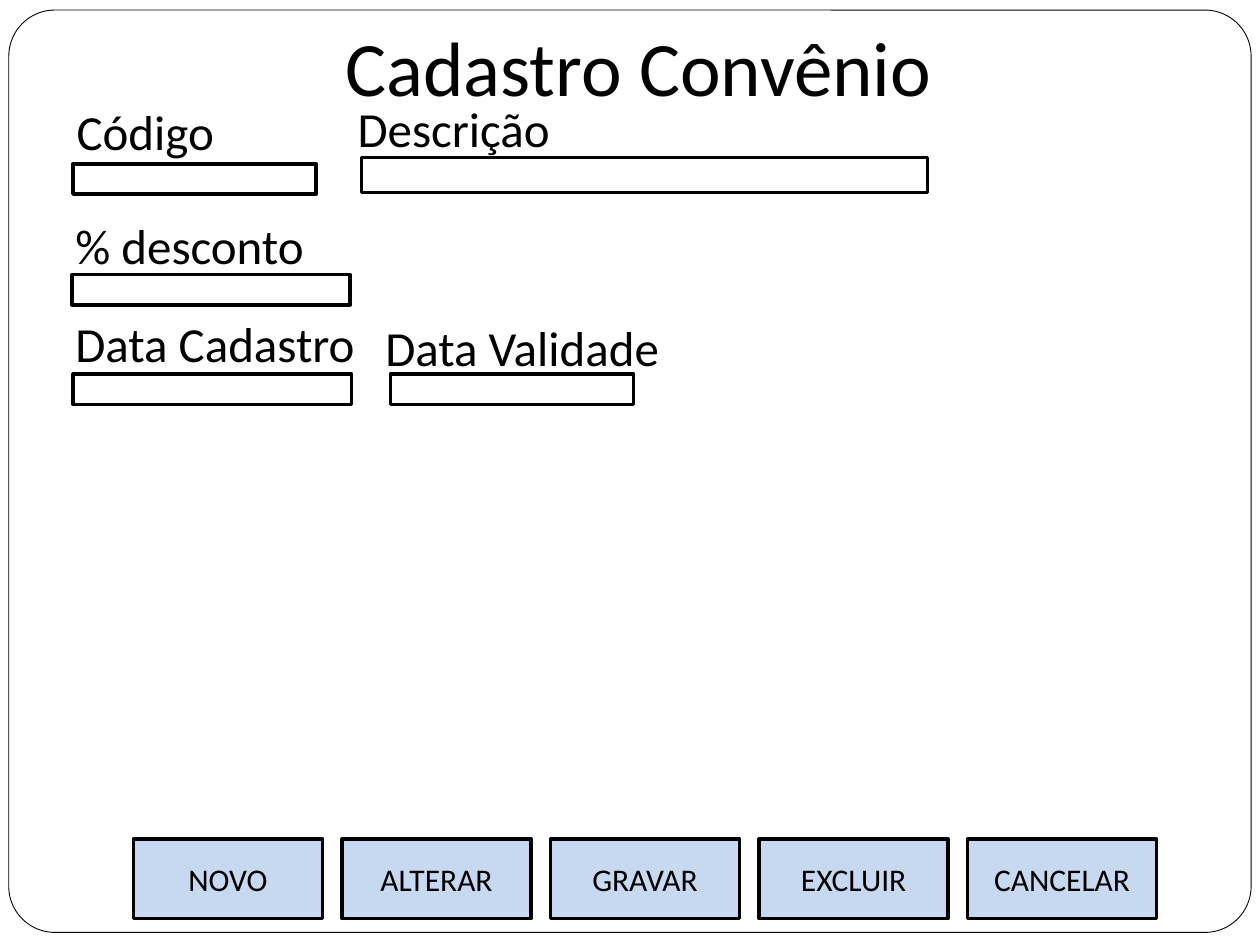
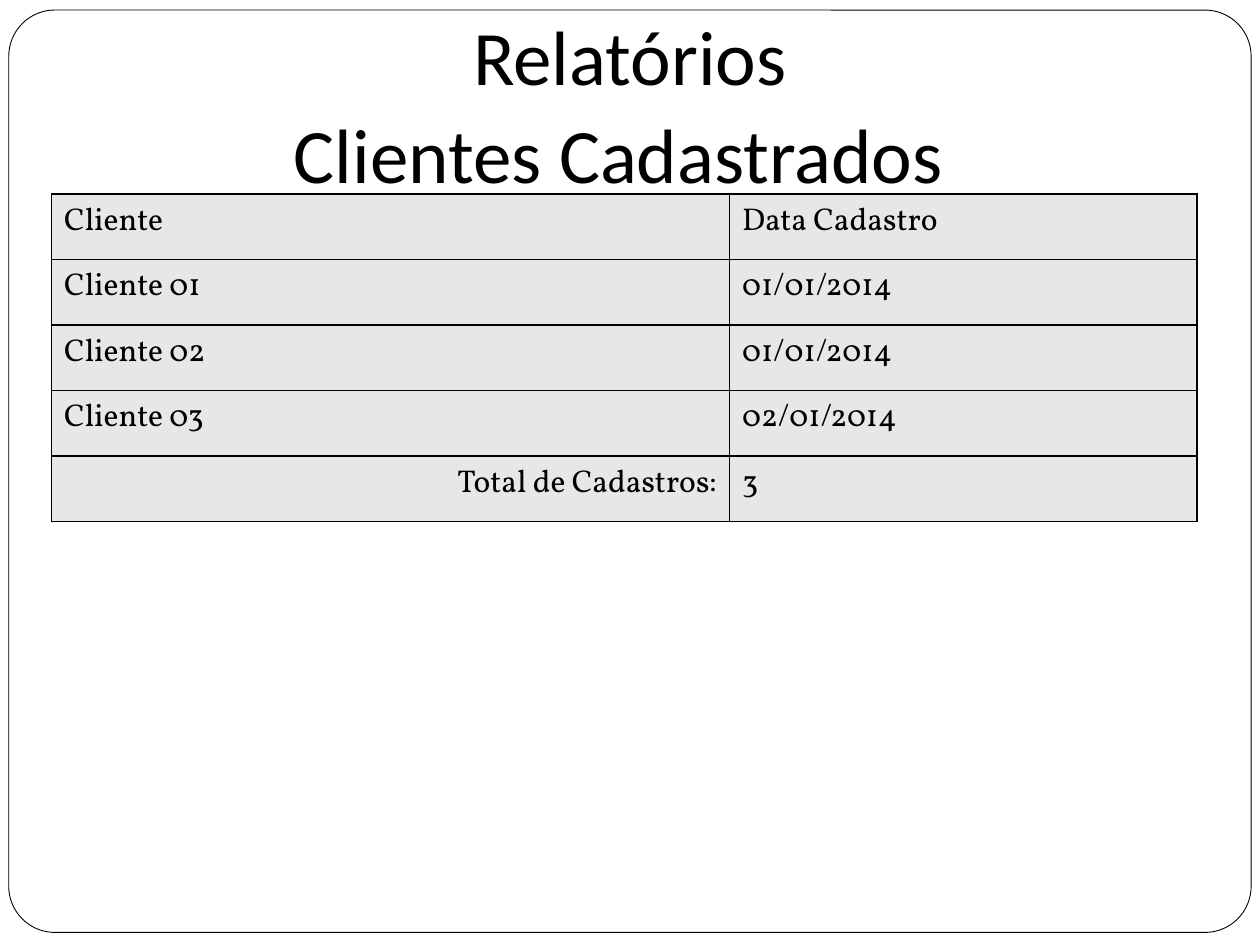
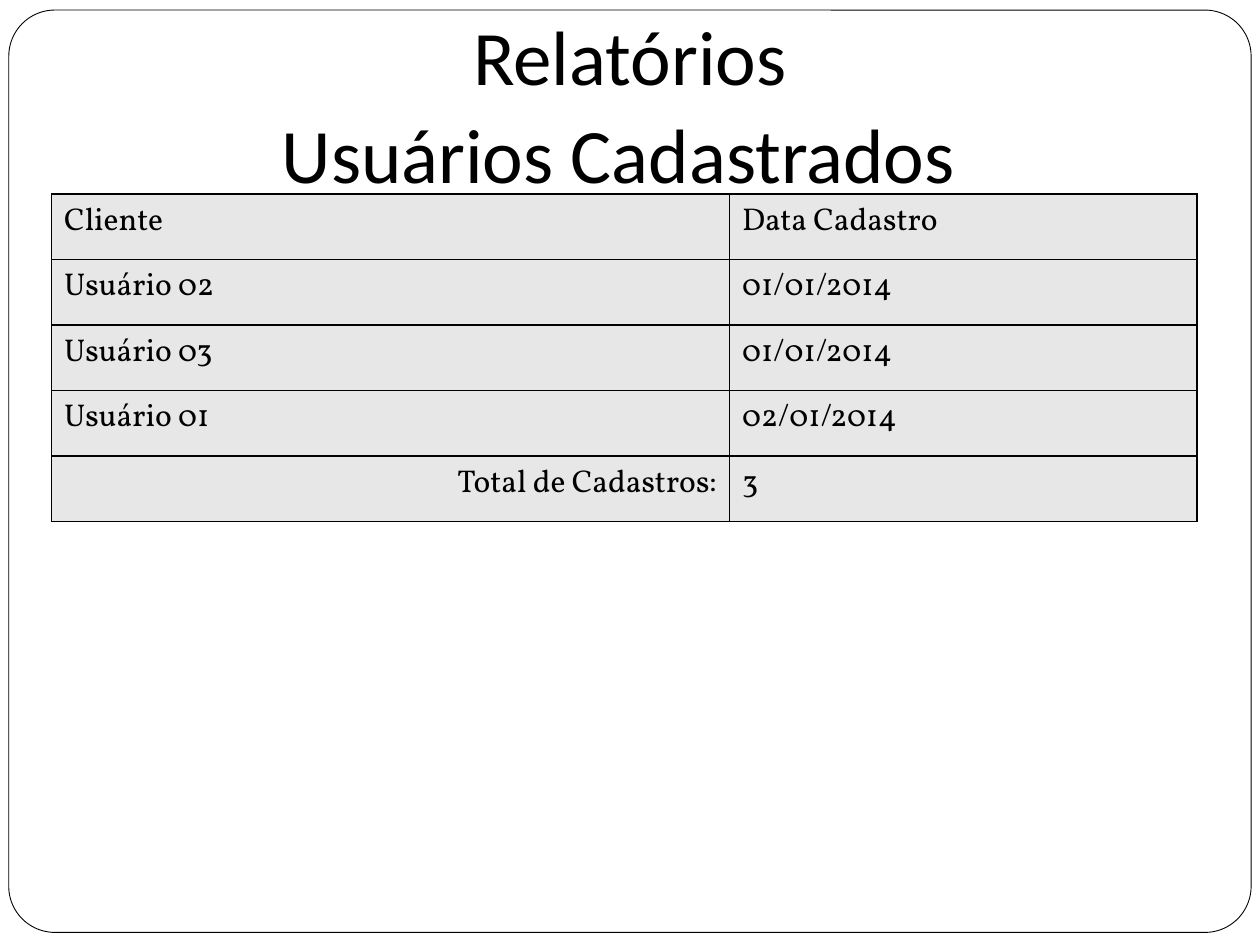
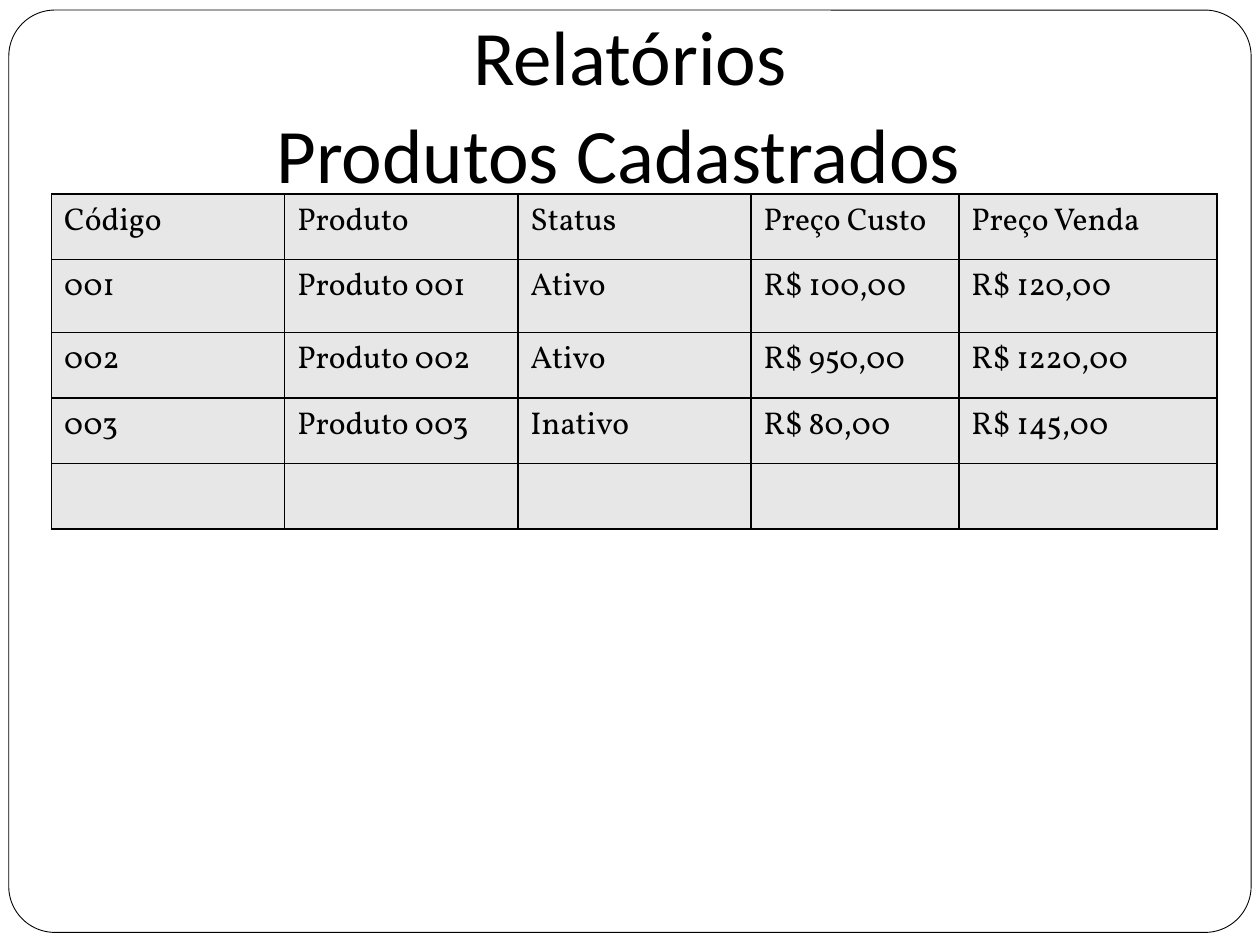
import dataclasses

import lxml.etree
import pptx
import pptx.dml.color
import pptx.enum.shapes
import pptx.enum.text
import pptx.oxml.ns
import pptx.util
from pptx.util import Inches

BLACK = "000000"
WHITE = "FFFFFF"
BLUE = "C6D9F1"
GREY = "E7E7E7"
SANS = "Calibri"
SERIF = "Vollkorn"

RECT = pptx.enum.shapes.MSO_SHAPE.RECTANGLE
ROUND = pptx.enum.shapes.MSO_SHAPE.ROUNDED_RECTANGLE
MIDDLE = pptx.enum.text.MSO_ANCHOR.MIDDLE
TOP = pptx.enum.text.MSO_ANCHOR.TOP
LEFT = pptx.enum.text.PP_ALIGN.LEFT
CENTER = pptx.enum.text.PP_ALIGN.CENTER
RIGHT = pptx.enum.text.PP_ALIGN.RIGHT


@dataclasses.dataclass(frozen=True)
class Box:
    left: float
    top: float
    width: float
    height: float

    def place(self) -> list:
        return [Inches(side) for side in dataclasses.astuple(self)]


@dataclasses.dataclass(frozen=True)
class Field:
    """An input box and the label above it."""
    text: str
    label: Box
    entry: Box


@dataclasses.dataclass(frozen=True)
class Report:
    title: str
    cols: list[float]
    rows: list[float]
    cells: list[list[str]]


FIELDS = [
    Field("Descrição", Box(2.74, 0.73, 4.79, 0.44), Box(2.87, 1.25, 4.49, 0.28)),
    Field("% desconto", Box(0.5, 1.66, 2.28, 0.44), Box(0.57, 2.18, 2.21, 0.24)),
    Field("Data Cadastro", Box(0.5, 2.44, 2.44, 0.44), Box(0.58, 2.97, 2.21, 0.24)),
    Field("Código", Box(0.51, 0.76, 3.15, 0.44), Box(0.58, 1.3, 1.93, 0.24)),
    Field("Data Validade", Box(2.96, 2.47, 3.15, 0.44), Box(3.1, 2.97, 1.93, 0.24)),
]
BUTTONS = ["NOVO", "ALTERAR", "GRAVAR", "EXCLUIR", "CANCELAR"]
FIRST, LAST = 1.06, 7.68

TOTAL = "Total de Cadastros:"
DATES = ["01/01/2014", "01/01/2014", "02/01/2014"]


def people(title: str, names: list[str]) -> Report:
    cells = [["Cliente", "Data Cadastro"]]
    cells += [list(pair) for pair in zip(names, DATES)]
    cells.append([TOTAL, str(len(names))])
    return Report(title, [5.38, 3.71], [0.52] * 5, cells)


REPORTS = [
    people("Clientes Cadastrados", ["Cliente 01", "Cliente 02", "Cliente 03"]),
    people("Usuários Cadastrados", ["Usuário 02", "Usuário 03", "Usuário 01"]),
    Report(
        "Produtos Cadastrados",
        [1.85, 1.85, 1.85, 1.65, 2.05],
        [0.52, 0.58, 0.52, 0.52, 0.52],
        [
            ["Código", "Produto", "Status", "Preço Custo", "Preço Venda"],
            ["001", "Produto 001", "Ativo", "R$ 100,00", "R$ 120,00"],
            ["002", "Produto 002", "Ativo", "R$ 950,00", "R$ 1220,00"],
            ["003", "Produto 003", "Inativo", "R$ 80,00", "R$ 145,00"],
            [""] * 5,
        ],
    ),
]


def paint(fill, color: str) -> None:
    fill.solid()
    fill.fore_color.rgb = pptx.dml.color.RGBColor.from_string(color)


def write(frame, text: str, size: int, font: str = SANS, align=LEFT) -> None:
    frame.text = text
    line = frame.paragraphs[0]
    line.alignment = align
    for run in line.runs:
        run.font.size = pptx.util.Pt(size)
        run.font.name = font
        paint(run.font.fill, BLACK)


def add_box(slide, box: Box, fill: str = WHITE, line: float = 2, kind=RECT):
    shape = slide.shapes.add_shape(kind, *box.place())
    shape.shadow.inherit = False
    paint(shape.fill, fill)
    paint(shape.line.fill, BLACK)
    shape.line.width = pptx.util.Pt(line)
    return shape


def add_text(slide, box: Box, text: str, size: int, align=LEFT, anchor=TOP) -> None:
    frame = slide.shapes.add_textbox(*box.place()).text_frame
    frame.word_wrap = True
    frame.vertical_anchor = anchor
    write(frame, text, size, align=align)


def add_title(slide, box: Box, text: str) -> None:
    add_text(slide, box, text, 44, CENTER, MIDDLE)


def add_button(slide, box: Box, text: str) -> None:
    frame = add_box(slide, box, BLUE).text_frame
    frame.vertical_anchor = MIDDLE
    write(frame, text, 18, align=CENTER)


def add_edges(cell) -> None:
    """Draw a thin black border; the lines must come before the cell's fill."""
    props = cell._tc.get_or_add_tcPr()
    name = pptx.oxml.ns.qn
    for spot, side in enumerate(["a:lnL", "a:lnR", "a:lnT", "a:lnB"]):
        edge = lxml.etree.Element(name(side), w=str(pptx.util.Pt(1)))
        solid = lxml.etree.SubElement(edge, name("a:solidFill"))
        lxml.etree.SubElement(solid, name("a:srgbClr"), val=BLACK)
        props.insert(spot, edge)


def add_grid(slide, report: Report) -> None:
    box = Box(0.41, 1.54, sum(report.cols), sum(report.rows))
    table = slide.shapes.add_table(
        len(report.rows), len(report.cols), *box.place()
    ).table
    table.first_row = table.horz_banding = False
    for col, width in zip(table.columns, report.cols):
        col.width = Inches(width)
    for row, height, texts in zip(table.rows, report.rows, report.cells):
        row.height = Inches(height)
        for cell, text in zip(row.cells, texts):
            align = RIGHT if text == TOTAL else LEFT
            write(cell.text_frame, text, 18, SERIF, align)
            paint(cell.fill, GREY)
            add_edges(cell)


def add_page(deck):
    """Add a blank slide with the shared rounded frame."""
    slide = deck.slides.add_slide(deck.slide_layouts[6])
    frame = add_box(slide, Box(0.07, 0.08, 9.86, 7.32), line=0.5, kind=ROUND)
    frame.adjustments[0] = 0.05
    return slide


def add_form(deck) -> None:
    slide = add_page(deck)
    for field in FIELDS:
        add_box(slide, field.entry)
        add_text(slide, field.label, field.text, 28)
    add_title(slide, Box(0.5, 0.13, 9, 0.79), " Cadastro Convênio")
    pitch = (LAST - FIRST) / (len(BUTTONS) - 1)
    for spot, text in enumerate(BUTTONS):
        add_button(slide, Box(FIRST + spot * pitch, 6.66, 1.5, 0.63), text)


def add_report(deck, report: Report) -> None:
    slide = add_page(deck)
    add_title(slide, Box(0.5, -0.03, 9, 0.93), "Relatórios")
    add_grid(slide, report)
    add_title(slide, Box(0.41, 0.75, 9, 0.93), report.title)


def main() -> None:
    deck = pptx.Presentation()
    deck.slide_width = Inches(10)
    deck.slide_height = Inches(7.5)
    add_form(deck)
    for report in REPORTS:
        add_report(deck, report)
    deck.save("out.pptx")


if __name__ == "__main__":
    main()
